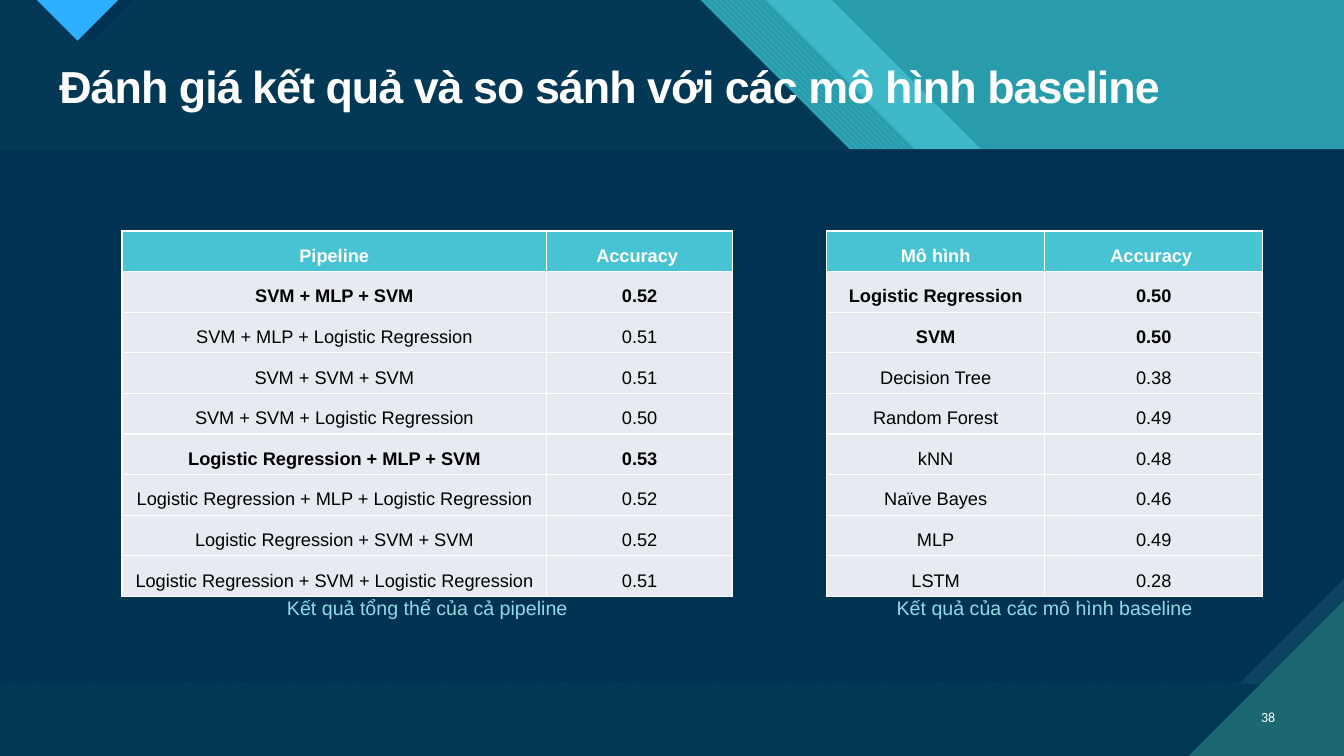
from lxml.etree import SubElement
from pptx import Presentation
from pptx.dml.color import RGBColor
from pptx.enum.dml import MSO_PATTERN
from pptx.enum.text import MSO_ANCHOR, PP_ALIGN
from pptx.oxml.ns import qn
from pptx.util import Pt

WHITE = RGBColor(0xFF, 0xFF, 0xFF)
BLACK = RGBColor(0, 0, 0)
TEAL = RGBColor(0x29, 0x9C, 0xAB)
LIGHT_TEAL = RGBColor(0x47, 0xC3, 0xD3)
BAND_TEAL = RGBColor(0x3F, 0xB9, 0xC9)
DEEP_TEAL = RGBColor(0x1B, 0x68, 0x72)
NAVY = RGBColor(0x00, 0x33, 0x52)
SOFT_NAVY = RGBColor(0x0C, 0x43, 0x60)
HATCH_LIGHT = RGBColor(0x07, 0x41, 0x5F)
HATCH_DARK = RGBColor(0x03, 0x38, 0x55)
BLUE = RGBColor(0x2F, 0xAF, 0xFF)
ROW_GREY = RGBColor(0xE7, 0xEA, 0xF0)
CAPTION_BLUE = RGBColor(0x91, 0xDB, 0xE5)

prs = Presentation()
prs.slide_width = Pt(960)
prs.slide_height = Pt(540)
slide = prs.slides.add_slide(prs.slide_layouts[6])
slide.background.fill.solid()
slide.background.fill.fore_color.rgb = TEAL


def add_area(points, color, hatch=None, hatch_back=None):
    corners = [(Pt(x), Pt(y)) for x, y in points]
    builder = slide.shapes.build_freeform(*corners[0], scale=1)
    builder.add_line_segments(corners[1:], close=True)
    area = builder.convert_to_shape()
    area.shadow.inherit = False
    area.line.fill.background()
    if hatch:
        area.fill.patterned()
        area.fill.pattern = hatch
        area.fill.back_color.rgb = hatch_back
    else:
        area.fill.solid()
    area.fill.fore_color.rgb = color


def add_text(words, left, top, width, height, size, color, font="Arial",
             align=PP_ALIGN.LEFT, anchor=MSO_ANCHOR.TOP, spacing=1.0):
    frame = slide.shapes.add_textbox(Pt(left), Pt(top), Pt(width), Pt(height)).text_frame
    frame.word_wrap = True
    frame.vertical_anchor = anchor
    paragraph = frame.paragraphs[0]
    paragraph.alignment = align
    paragraph.line_spacing = spacing
    run = paragraph.add_run()
    run.text = words
    run.font.name = font
    run.font.size = Pt(size)
    run.font.color.rgb = color
    return run


diagonal_bands = [
    (594, BAND_TEAL, None, None),
    (547.2, LIGHT_TEAL, MSO_PATTERN.WIDE_DOWNWARD_DIAGONAL, TEAL),
    (500, HATCH_LIGHT, MSO_PATTERN.WIDE_UPWARD_DIAGONAL, HATCH_DARK),
]
for edge, color, hatch, hatch_back in diagonal_bands:
    add_area([(0, 0), (edge, 0), (edge + 214, 214), (805, 214), (960, 369),
              (960, 540), (0, 540)], color, hatch, hatch_back)

add_area([(35.4, 0), (95, 0), (65.2, 29.8)], NAVY)
add_area([(26.4, 0), (84.4, 0), (55.4, 29)], BLUE)
add_area([(0, 106.8), (960, 106.8), (960, 488.4), (0, 488.4)], SOFT_NAVY)
add_area([(0, 106.8), (960, 106.8), (960, 413.2), (884.8, 488.4), (0, 488.4)], NAVY)
add_area([(849, 540), (960, 540), (960, 429)], DEEP_TEAL)

title = add_text("Đánh giá kết quả và so sánh với các mô hình baseline",
                 35.3, 42.5, 882.7, 42.5, 32, WHITE, spacing=0.9)
title.font.bold = True
title.font._element.set("spc", "-70")
add_text("38", 886.3, 497.5, 31.7, 28.8, 10, WHITE, "Calibri",
         PP_ALIGN.RIGHT, MSO_ANCHOR.MIDDLE)

pipeline_results = [
    ("Pipeline", "Accuracy "),
    ("SVM + MLP + SVM", "0.52"),
    ("SVM + MLP + Logistic Regression", "0.51"),
    ("SVM + SVM + SVM", "0.51"),
    ("SVM + SVM + Logistic Regression", "0.50"),
    ("Logistic Regression + MLP + SVM", "0.53"),
    ("Logistic Regression + MLP + Logistic Regression", "0.52"),
    ("Logistic Regression + SVM + SVM", "0.52"),
    ("Logistic Regression + SVM + Logistic Regression", "0.51"),
]
baseline_results = [
    ("Mô hình", "Accuracy "),
    ("Logistic Regression", "0.50"),
    ("SVM", "0.50"),
    ("Decision Tree", "0.38"),
    ("Random Forest", "0.49"),
    ("kNN", "0.48"),
    ("Naïve Bayes", "0.46"),
    ("MLP", "0.49"),
    ("LSTM", "0.28"),
]
comparisons = [
    (pipeline_results, 87.1, (303.2, 133.2), {0, 1, 5}, "Kết quả tổng thể của cả pipeline"),
    (baseline_results, 590.4, (155.8, 155.8), {0, 1, 2}, "Kết quả của các mô hình baseline"),
]
ROW_HEIGHT = 29
for results, left, widths, bold_rows, caption in comparisons:
    table = slide.shapes.add_table(len(results), 2, Pt(left), Pt(165), Pt(sum(widths)),
                                   Pt(ROW_HEIGHT * len(results))).table
    table.first_row = False
    table.horz_banding = False
    for column, width in zip(table.columns, widths):
        column.width = Pt(width)
    for row, values in enumerate(results):
        table.rows[row].height = Pt(ROW_HEIGHT)
        for col, value in enumerate(values):
            cell = table.cell(row, col)
            cell.margin_left = cell.margin_right = Pt(5)
            cell.margin_top = Pt(3.3)
            cell.margin_bottom = Pt(1)
            properties = cell._tc.get_or_add_tcPr()
            for side in ("a:lnL", "a:lnR", "a:lnT", "a:lnB"):
                border = SubElement(properties, qn(side), w=str(Pt(1)))
                border_fill = SubElement(border, qn("a:solidFill"))
                SubElement(border_fill, qn("a:srgbClr"), val=str(WHITE))
            cell.fill.solid()
            cell.fill.fore_color.rgb = LIGHT_TEAL if row == 0 else ROW_GREY
            paragraph = cell.text_frame.paragraphs[0]
            paragraph.alignment = PP_ALIGN.CENTER
            paragraph.line_spacing = 1.5
            run = paragraph.add_run()
            run.text = value
            run.font.name = "Arial"
            run.font.size = Pt(13)
            run.font.bold = row in bold_rows
            run.font.color.rgb = WHITE if row == 0 else BLACK
    add_text(caption, left, 421.2, sum(widths), 23.8, 14, CAPTION_BLUE,
             align=PP_ALIGN.CENTER, spacing=1.07)

prs.save("out.pptx")
